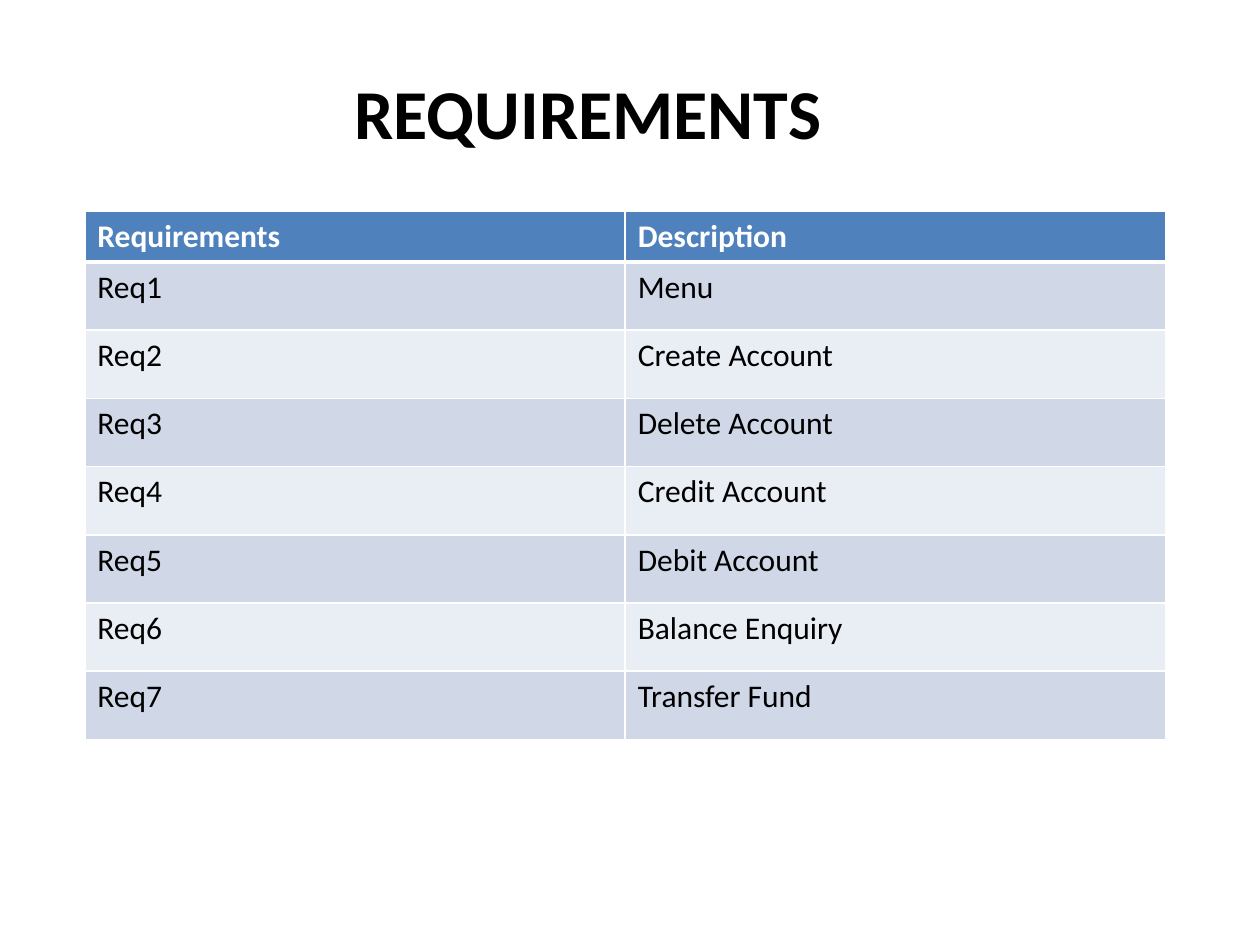
import pptx
import pptx.dml.color
import pptx.enum.text
import pptx.oxml
import pptx.oxml.ns
import pptx.util
from lxml import etree

Pt = pptx.util.Pt
RGB = pptx.dml.color.RGBColor
WHITE = RGB(0xFF, 0xFF, 0xFF)
BLACK = RGB(0, 0, 0)
BLUE = RGB(0x4F, 0x81, 0xBD)
BANDS = (RGB(0xD0, 0xD8, 0xE8), RGB(0xE9, 0xED, 0xF4))
LEFT = pptx.enum.text.PP_ALIGN.LEFT
CENTER = pptx.enum.text.PP_ALIGN.CENTER

ITEMS = ["Menu", "Create Account", "Delete Account", "Credit Account",
         "Debit Account", "Balance Enquiry", "Transfer Fund"]


def write(frame, text, size=18, color=BLACK, bold=False, align=LEFT, font="Calibri"):
    """Put one formatted line of text in a text frame."""
    line = frame.paragraphs[0]
    line.alignment = align
    run = line.add_run()
    run.text = text
    run.font.name = font
    run.font.size = Pt(size)
    run.font.bold = bold
    run.font.color.rgb = color


def edge(cell, side, width, color=WHITE):
    """Add a solid border to one side of a cell."""
    props = cell._tc.get_or_add_tcPr()
    line = etree.SubElement(props, pptx.oxml.ns.qn("a:ln" + side), w=str(Pt(width)))
    fill = etree.SubElement(line, pptx.oxml.ns.qn("a:solidFill"))
    etree.SubElement(fill, pptx.oxml.ns.qn("a:srgbClr"), val=str(color))


class Page:
    """Holds the table style and the current slide."""

    head_fill = BLUE
    bands = BANDS
    head_rule = 3
    rule = 1

    def __init__(self, deck):
        """Add a blank slide to the deck."""
        self.slide = deck.slides.add_slide(deck.slide_layouts[6])

    def title(self, text, left, top, width, height):
        """Add a centred bold title."""
        box = self.slide.shapes.add_textbox(Pt(left), Pt(top), Pt(width), Pt(height))
        box.text_frame.word_wrap = True
        write(box.text_frame, text, size=40, bold=True, align=CENTER)

    def table(self, rows, left, top, width, head, body):
        """Add a banded table with a header row and equal columns."""
        height = head + body * (len(rows) - 1)
        grid = self.slide.shapes.add_table(
            len(rows), len(rows[0]), Pt(left), Pt(top), Pt(width), Pt(height)).table
        for r, row in enumerate(rows):
            grid.rows[r].height = Pt(body if r else head)
            for c, text in enumerate(row):
                self.cell(grid.cell(r, c), text, r)

    def cell(self, cell, text, row):
        """Fill and border one cell by its row number."""
        first = row == 0
        write(cell.text_frame, text, color=WHITE if first else BLACK, bold=first)
        for side in "LRTB":
            thick = (row, side) in ((0, "B"), (1, "T"))
            edge(cell, side, self.head_rule if thick else self.rule)
        cell.fill.solid()
        cell.fill.fore_color.rgb = self.head_fill if first else self.bands[(row - 1) % 2]


def main():
    """Build and save the slide."""
    deck = pptx.Presentation()
    deck.slide_width, deck.slide_height = Pt(720), Pt(540)
    page = Page(deck)
    rows = [("Requirements", "Description")]
    rows += [(f"Req{n}", item) for n, item in enumerate(ITEMS, 1)]
    page.table(rows, left=48.5, top=120.5, width=617.5, head=28.8, body=39)
    page.title("REQUIREMENTS", left=174, top=36, width=324, height=55.5)
    deck.save("out.pptx")


main()
